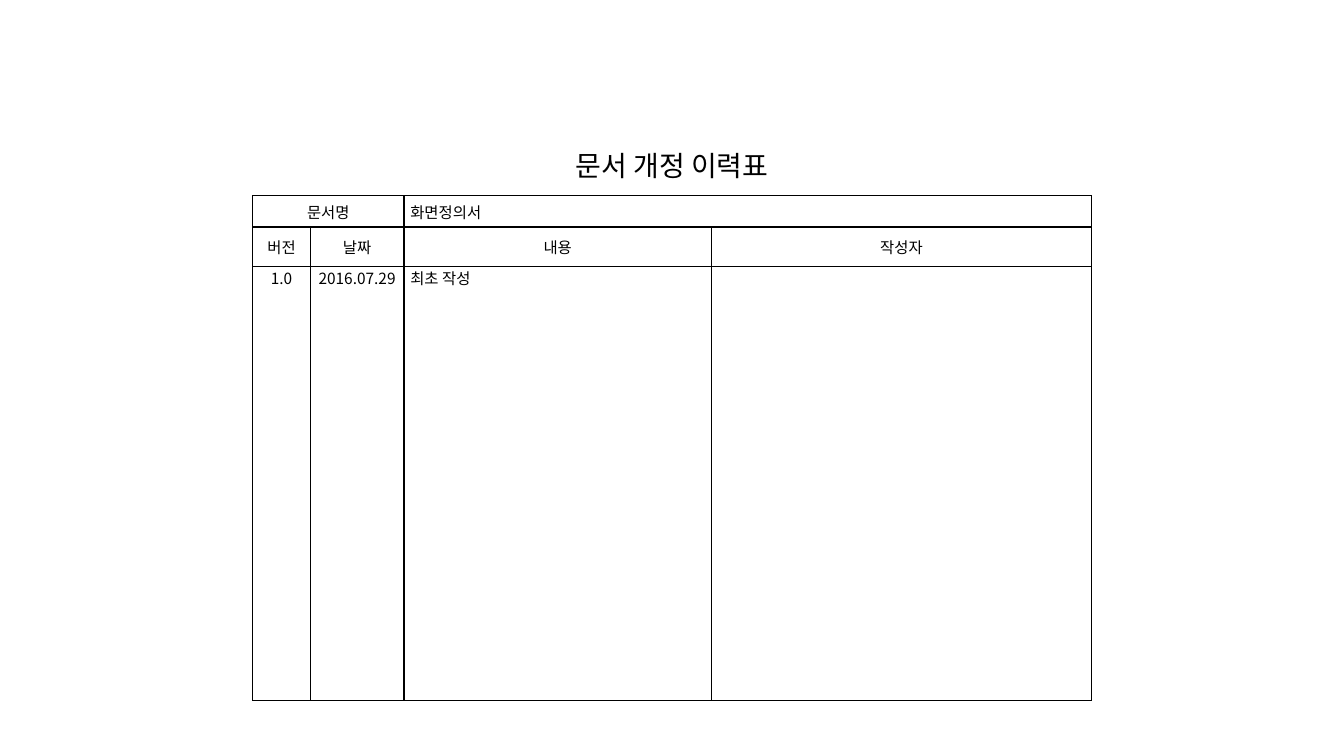
from lxml import etree
from pptx import Presentation
from pptx.dml.color import RGBColor
from pptx.enum import text
from pptx.oxml import ns
from pptx.util import Cm, Pt

BLACK = RGBColor(0, 0, 0)
WHITE = RGBColor(255, 255, 255)
FONT = "Noto Sans CJK KR"
CENTER = text.PP_ALIGN.CENTER
JUSTIFY = text.PP_ALIGN.JUSTIFY
TOP = text.MSO_ANCHOR.TOP
MIDDLE = text.MSO_ANCHOR.MIDDLE
BOTTOM = text.MSO_ANCHOR.BOTTOM

COLUMN_WIDTHS = [1.45, 2.36, 7.75, 9.58]
ROW_HEIGHTS = [2.59, 0.79, 0.99, 10.95]
TITLE_ROW = 0
TITLE_GAP = 0.28

# Row, column, text, alignment, vertical anchor, size in points
ENTRIES = [
    (0, 0, "문서 개정 이력표", CENTER, BOTTOM, 20),
    (1, 0, "문서명", CENTER, MIDDLE, 11),
    (1, 2, "화면정의서", JUSTIFY, MIDDLE, 11),
    (2, 0, "버전", CENTER, MIDDLE, 11),
    (2, 1, "날짜", CENTER, MIDDLE, 11),
    (2, 2, "내용", CENTER, MIDDLE, 11),
    (2, 3, "작성자", CENTER, MIDDLE, 11),
    (3, 0, "1.0", CENTER, TOP, 11),
    (3, 1, "2016.07.29", CENTER, TOP, 11),
    (3, 2, "최초 작성", JUSTIFY, TOP, 11),
]


def add_grid(slide):
    frame = slide.shapes.add_table(
        len(ROW_HEIGHTS), len(COLUMN_WIDTHS), Cm(6.37), Cm(2.34),
        Cm(sum(COLUMN_WIDTHS)), Cm(sum(ROW_HEIGHTS)))
    table = frame.table
    table.first_row = table.horz_banding = False
    for column, width in zip(table.columns, COLUMN_WIDTHS):
        column.width = Cm(width)
    for row, height in zip(table.rows, ROW_HEIGHTS):
        row.height = Cm(height)
    return table


def set_borders(cell, colors):
    """Draw 1 pt borders; colors maps the sides L, R, T, B, in that order."""
    properties = cell._tc.get_or_add_tcPr()
    for side, color in colors.items():
        line = etree.SubElement(properties, ns.qn(f"a:ln{side}"), w=str(Pt(1)))
        fill = etree.SubElement(line, ns.qn("a:solidFill"))
        etree.SubElement(fill, ns.qn("a:srgbClr"), val=str(color))


def style_cell(cell, is_title):
    cell.margin_left = cell.margin_right = Cm(0.16)
    cell.margin_top = 0
    cell.margin_bottom = Cm(TITLE_GAP) if is_title else 0
    outer = WHITE if is_title else BLACK
    set_borders(cell, {"L": outer, "R": outer, "T": outer, "B": BLACK})
    cell.fill.solid()
    cell.fill.fore_color.rgb = WHITE


def write_cell(cell, wording, alignment, anchor, size):
    cell.vertical_anchor = anchor
    paragraph = cell.text_frame.paragraphs[0]
    paragraph.alignment = alignment
    run = paragraph.add_run()
    run.text = wording
    run.font.size = Pt(size)
    run.font.color.rgb = BLACK
    run.font.name = FONT
    etree.SubElement(run.font._element, ns.qn("a:ea"), typeface=FONT)


def main():
    presentation = Presentation()
    presentation.slide_width = Cm(33.87)
    presentation.slide_height = Cm(19.05)
    slide = presentation.slides.add_slide(presentation.slide_layouts[6])
    table = add_grid(slide)
    for index, row in enumerate(table.rows):
        for cell in row.cells:
            style_cell(cell, index == TITLE_ROW)
    for row, first, last in [(0, 0, 3), (1, 0, 1), (1, 2, 3)]:
        table.cell(row, first).merge(table.cell(row, last))
    for row, column, *content in ENTRIES:
        write_cell(table.cell(row, column), *content)
    presentation.save("out.pptx")


if __name__ == "__main__":
    main()
